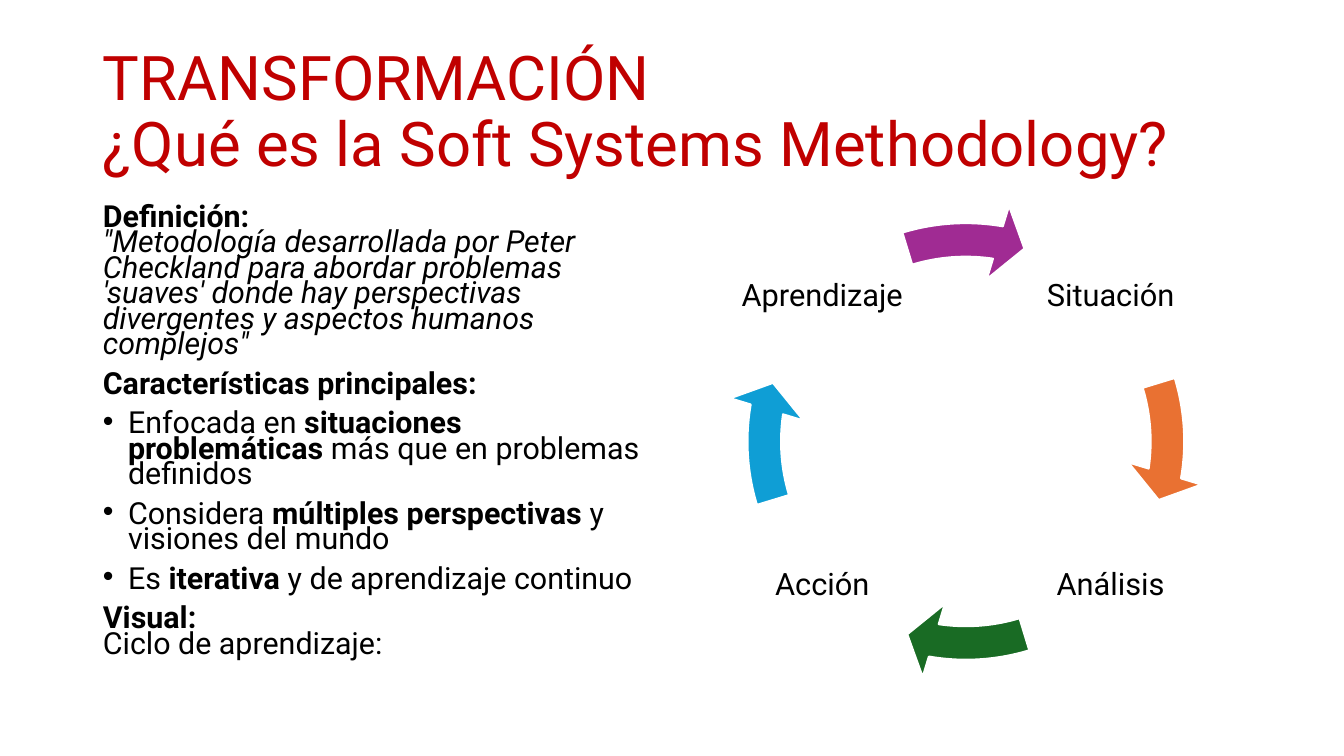
from lxml import etree
from pptx import Presentation
from pptx.dml.color import RGBColor
from pptx.enum.shapes import MSO_SHAPE
from pptx.enum.text import MSO_ANCHOR as ANCHOR, MSO_AUTO_SIZE as AUTO, PP_ALIGN as ALIGN
from pptx.oxml.ns import qn
from pptx.util import Inches, Pt

# Content: paragraphs are (bulleted, [(text, style)]), "\n" is a line break
TITLE = "TRANSFORMACIÓN\n¿Qué es la Soft Systems Methodology?"
BODY = [
    (False, [("Definición:\n", "b"),
             ("\"Metodología desarrollada por Peter Checkland para abordar problemas "
              "'suaves' donde hay perspectivas divergentes y aspectos humanos "
              "complejos\"", "i")]),
    (False, [("Características principales:", "b")]),
    (True, [("Enfocada en ", ""), ("situaciones problemáticas", "b"),
            (" más que en problemas definidos", "")]),
    (True, [("Considera ", ""), ("múltiples perspectivas", "b"),
            (" y visiones del mundo", "")]),
    (True, [("Es ", ""), ("iterativa", "b"), (" y de aprendizaje continuo", "")]),
    (False, [("Visual:\n", "b"), ("Ciclo de aprendizaje:", "")]),
]
# Clockwise from the top right: label, column, row, colour of the arrow after it
CYCLE = [
    ("Situación", 1, 0, "E97132"),
    ("Análisis", 1, 1, "196B24"),
    ("Acción", 0, 1, "0F9ED5"),
    ("Aprendizaje", 0, 0, "A02B93"),
]
FONT = "Roboto"
RING = (7.2, 2, 4.76)           # left, top, side
LABEL_SIDE, LABEL_STEP = 1.69, 2.86
LABEL_LEFT, LABEL_TOP = 7.31, 2.1
HEAD_ANGLE, TAIL_ANGLE = 9.14, 343.1  # first arrow, degrees
ANGLE_UNIT = 0.6                # one degree as an adjustment value


def color(hex_string):
    return RGBColor.from_string(hex_string)


def place(sp, left, top, width, height):
    sp.left, sp.top = Inches(left), Inches(top)
    sp.width, sp.height = Inches(width), Inches(height)


def write(p, text, size=22, fill="000000", style="", spacing=0.9, align=ALIGN.LEFT):
    p.line_spacing, p.alignment = spacing, align
    for i, line in enumerate(text.split("\n")):
        if i:
            p.add_line_break()
        if line:
            r = p.add_run()
            r.text = line
            f = r.font
            f.name, f.size, f.color.rgb = FONT, Pt(size), color(fill)
            f.bold, f.italic = "b" in style, "i" in style


def set_bullet(p, bulleted):
    pPr = p._p.get_or_add_pPr()
    indent = Inches(0.25) if bulleted else 0
    pPr.set("marL", str(indent))
    pPr.set("indent", str(-indent))
    if bulleted:
        etree.SubElement(pPr, qn("a:buFont")).set("typeface", "Arial")
        etree.SubElement(pPr, qn("a:buChar")).set("char", "•")
    else:
        etree.SubElement(pPr, qn("a:buNone"))


prs = Presentation()
prs.slide_width, prs.slide_height = Inches(13.33), Inches(7.5)
s = prs.slides.add_slide(prs.slide_layouts[1])

# Title
title, body = s.placeholders
place(title, 0.92, 0.4, 11.5, 1.45)
tf = title.text_frame
tf.auto_size, tf.vertical_anchor = AUTO.NONE, ANCHOR.MIDDLE
write(tf.paragraphs[0], TITLE, size=44, fill="C00000")

# Definition and characteristics
place(body, 0.92, 2, 5.67, 4.76)
tf = body.text_frame
tf.auto_size = AUTO.NONE
for i, (bulleted, runs) in enumerate(BODY):
    p = tf.add_paragraph() if i else tf.paragraphs[0]
    set_bullet(p, bulleted)
    p.space_before = Pt(10 if i else 0)
    for text, style in runs:
        write(p, text, size=21.7, style=style, spacing=0.7)

# Learning cycle
left, top, side = map(Inches, RING)
for i, (label, col, row, fill) in enumerate(CYCLE):
    sp = s.shapes.add_textbox(Inches(LABEL_LEFT + col * LABEL_STEP),
                              Inches(LABEL_TOP + row * LABEL_STEP),
                              Inches(LABEL_SIDE), Inches(LABEL_SIDE))
    tf = sp.text_frame
    tf.word_wrap, tf.vertical_anchor = True, ANCHOR.MIDDLE
    tf.margin_left = tf.margin_right = tf.margin_top = tf.margin_bottom = Inches(0.03)
    write(tf.paragraphs[0], label, align=ALIGN.CENTER)

    arrow = s.shapes.add_shape(MSO_SHAPE.CIRCULAR_ARROW, left, top, side, side)
    arrow.shadow.inherit = False
    arrow.fill.solid()
    arrow.fill.fore_color.rgb = color(fill)
    arrow.line.color.rgb, arrow.line.width = color("FFFFFF"), Pt(1.5)
    head, tail = ((a + 90 * i) % 360 * ANGLE_UNIT for a in (HEAD_ANGLE, TAIL_ANGLE))
    for n, value in enumerate((0.07, 4.66, head, tail, 0.08)):
        arrow.adjustments[n] = value

prs.save("out.pptx")
